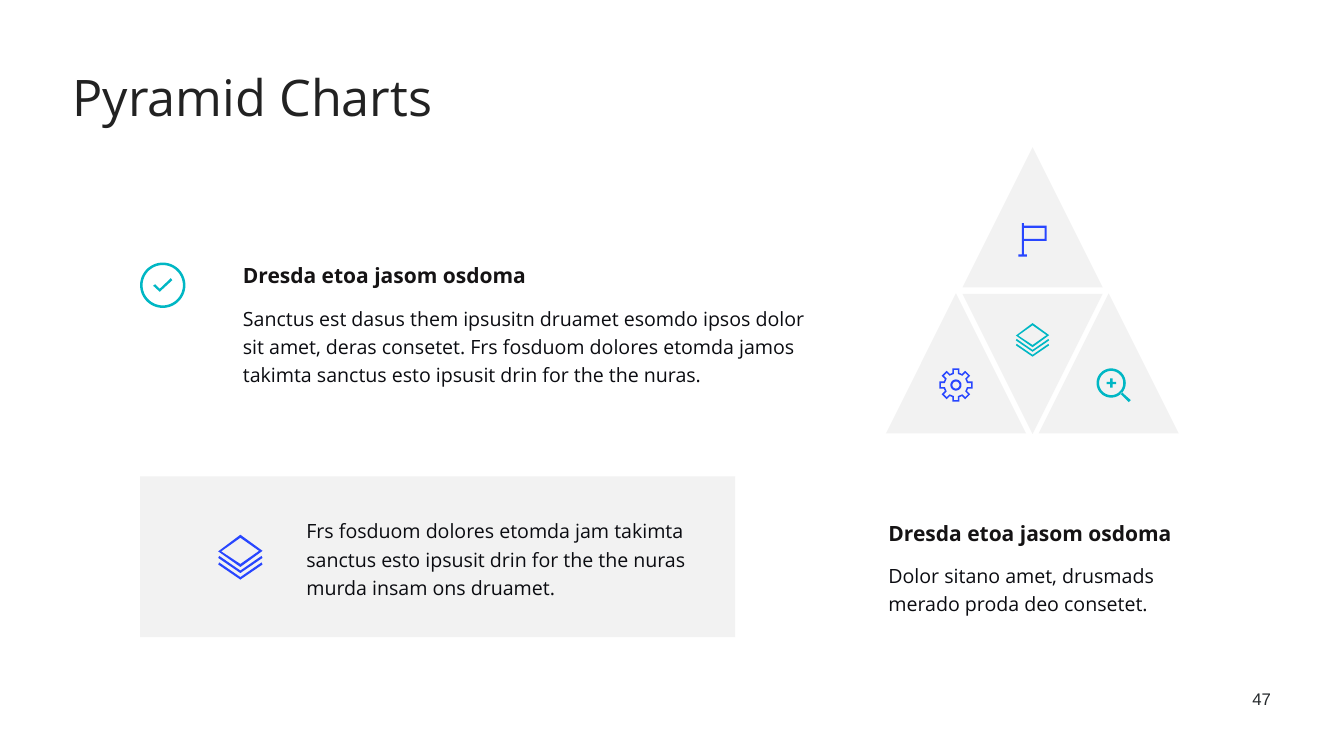
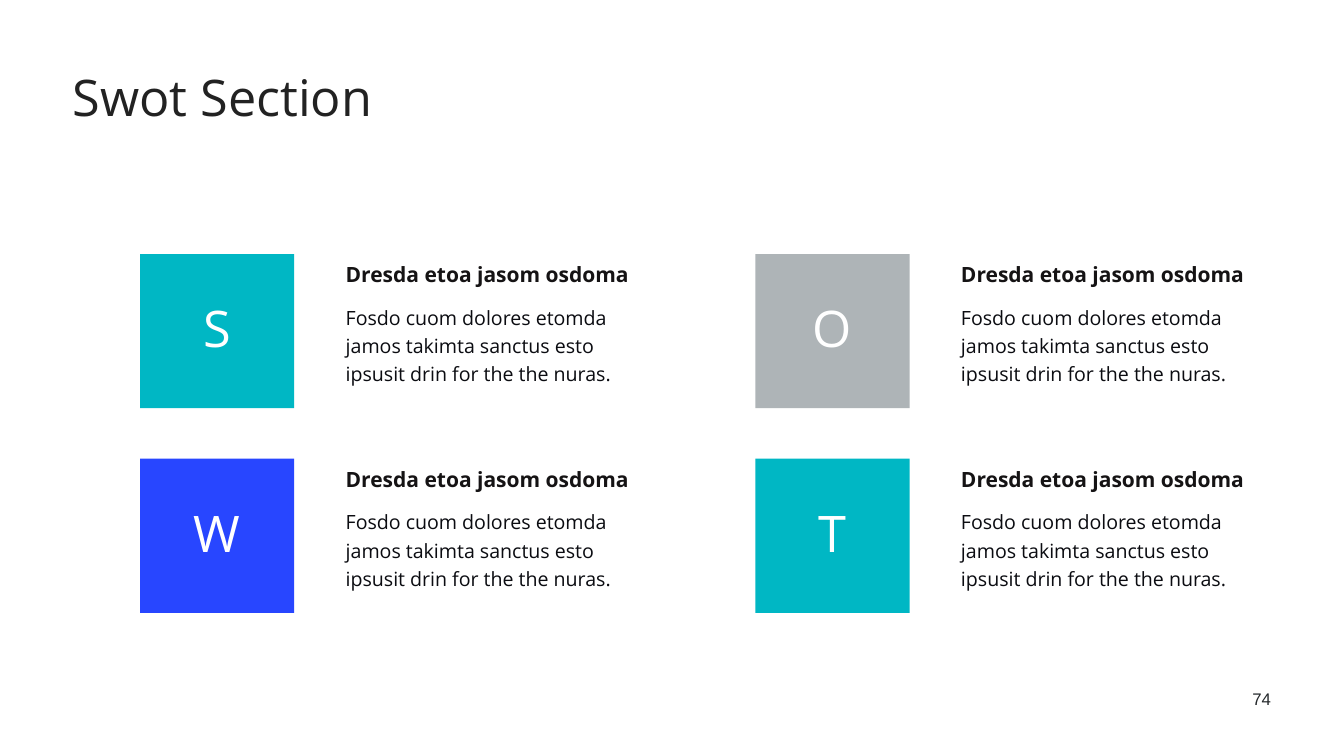
from math import cos, pi, sin

from pptx import Presentation
from pptx.dml.color import RGBColor
from pptx.enum.shapes import MSO_SHAPE as Shape
from pptx.enum.text import MSO_ANCHOR as Anchor, MSO_AUTO_SIZE as AutoSize, PP_ALIGN as Align
from pptx.util import Inches, Pt

TEAL = RGBColor(0x00, 0xB7, 0xC4)
BLUE = RGBColor(0x28, 0x46, 0xFF)
GREY = RGBColor(0xAE, 0xB4, 0xB7)
PALE = RGBColor(0xF2, 0xF2, 0xF2)
WHITE = RGBColor(0xFF, 0xFF, 0xFF)
TITLE_INK = RGBColor(0x22, 0x22, 0x22)
HEADING_INK = RGBColor(0x15, 0x13, 0x14)
BODY_INK = RGBColor(0x0B, 0x0C, 0x11)
NUMBER_INK = RGBColor(0x24, 0x28, 0x2B)

# Text styles: size, colour, bold, line spacing, font, alignment, inset
TITLE = (72, TITLE_INK, False, 0.9, "Open Sans", Align.LEFT, 0.05)
LETTER = (72, WHITE, False, 0.9, "Open Sans", Align.CENTER, 0.05)
HEADING = (30, HEADING_INK, True, 1.2, "Open Sans", Align.LEFT, 0.05)
BODY = (28, BODY_INK, False, 1.2, "Open Sans", Align.LEFT, 0.05)
NUMBER = (24, NUMBER_INK, False, 1.0, "Arial", Align.RIGHT, 0.06)

HEADING_TEXT = "Dresda etoa jasom osdoma"
UNIT_CIRCLE = [(cos(step * pi / 30), sin(step * pi / 30)) for step in range(60)]


def add_text(slide, left, top, width, height, text, style):
    size, color, bold, spacing, font_name, alignment, inset = style
    box = slide.shapes.add_textbox(Inches(left), Inches(top), Inches(width), Inches(height))
    frame = box.text_frame
    frame.word_wrap = True
    frame.auto_size = AutoSize.SHAPE_TO_FIT_TEXT
    frame.margin_left = frame.margin_right = Inches(inset)
    frame.margin_top = frame.margin_bottom = Inches(inset)
    paragraph = frame.paragraphs[0]
    paragraph.text = text
    paragraph.alignment = alignment
    paragraph.line_spacing = spacing
    font = paragraph.font
    font.name, font.size, font.bold = font_name, Pt(size), bold
    font.color.rgb = color
    return box


def add_icon(slide, left, top, color, contours, circles=(), scale=1):
    """Draw one filled outline; a contour inside another becomes a hole."""
    rings = [[(x + radius * dx, y + radius * dy) for dx, dy in UNIT_CIRCLE]
             for x, y, radius in circles]
    builder = None
    for contour in rings + contours:
        points = [(Inches(x * scale), Inches(y * scale)) for x, y in contour]
        if builder is None:
            builder = slide.shapes.build_freeform(*points[0])
        else:
            builder.move_to(*points[0])
        builder.add_line_segments(points[1:], close=True)
    icon = builder.convert_to_shape(Inches(left), Inches(top))
    icon.shadow.inherit = False
    icon.fill.solid()
    icon.fill.fore_color.rgb = color
    icon.line.fill.background()


presentation = Presentation()
presentation.slide_width = Inches(26.67)
presentation.slide_height = Inches(15)

slides = []
for title, number in (("Pyramid Charts", "47"), ("Swot Section", "74")):
    slide = presentation.slides.add_slide(presentation.slide_layouts[6])
    add_text(slide, 1.39, 1.39, 8.8, 1.46, title, TITLE)
    add_text(slide, 23.89, 13.61, 1.39, 0.51, number, NUMBER)
    slides.append(slide)
pyramid_slide, swot_slide = slides

# Pyramid and panel
blocks = [
    (Shape.ISOSCELES_TRIANGLE, 19.1, 2.92, 2.78, 2.78, 0),
    (Shape.ISOSCELES_TRIANGLE, 19.1, 5.83, 2.78, 2.78, 180),
    (Shape.ISOSCELES_TRIANGLE, 20.61, 5.82, 2.78, 2.78, 0),
    (Shape.ISOSCELES_TRIANGLE, 17.58, 5.82, 2.78, 2.78, 0),
    (Shape.RECTANGLE, 2.78, 9.45, 11.81, 3.19, 0),
]
for kind, left, top, width, height, rotation in blocks:
    block = pyramid_slide.shapes.add_shape(
        kind, Inches(left), Inches(top), Inches(width), Inches(height))
    block.shadow.inherit = False
    block.rotation = rotation
    block.fill.solid()
    block.fill.fore_color.rgb = PALE
    block.line.fill.background()

# Icons, in inches from their own top left corner
layers = [
    [(0.44, 0), (0.88, 0.32), (0.44, 0.64), (0, 0.33)],
    [(0.44, 0.06), (0.81, 0.32), (0.44, 0.58), (0.06, 0.33)],
]
for drop in (0, 0.13):
    layers.append([(x, y + drop) for x, y in (
        (0.02, 0.42), (0.44, 0.71), (0.86, 0.42), (0.88, 0.46), (0.44, 0.76), (0, 0.46))])
add_icon(pyramid_slide, 4.33, 10.61, BLUE, layers)
add_icon(pyramid_slide, 20.16, 6.41, TEAL, layers, scale=0.75)

gear = []
for root, tip, half_width in ((0.24, 0.33, 0.07), (0.22, 0.3, 0.04)):
    outline = []
    for tooth in range(8):
        angle = tooth * pi / 4
        for reach, side in ((root, -half_width), (tip, -half_width),
                            (tip, half_width), (root, half_width)):
            outline.append((0.33 + reach * cos(angle) - side * sin(angle),
                            0.33 + reach * sin(angle) + side * cos(angle)))
    gear.append(outline)
add_icon(pyramid_slide, 18.64, 7.31, BLUE, gear, [(0.33, 0.33, 0.11), (0.33, 0.33, 0.07)])

flag = [
    [(0.07, 0), (0.11, 0), (0.11, 0.05), (0.56, 0.05), (0.56, 0.35), (0.11, 0.35),
     (0.11, 0.62), (0.17, 0.62), (0.17, 0.66), (0, 0.66), (0, 0.62), (0.07, 0.62)],
    [(0.11, 0.09), (0.52, 0.09), (0.52, 0.31), (0.11, 0.31)],
]
add_icon(pyramid_slide, 20.21, 4.43, BLUE, flag)

magnifier = [
    [(0.46, 0.5), (0.63, 0.67), (0.67, 0.63), (0.49, 0.47)],
    [(0.26, 0.2), (0.31, 0.2), (0.31, 0.27), (0.38, 0.27), (0.38, 0.31), (0.31, 0.31),
     (0.31, 0.38), (0.26, 0.38), (0.26, 0.31), (0.19, 0.31), (0.19, 0.27), (0.26, 0.27)],
]
add_icon(pyramid_slide, 21.77, 7.31, TEAL, magnifier, [(0.28, 0.29, 0.29), (0.28, 0.29, 0.24)])

check = [[(0.61, 0.31), (0.39, 0.52), (0.3, 0.43), (0.26, 0.46), (0.39, 0.58), (0.64, 0.35)]]
add_icon(pyramid_slide, 2.78, 5.21, TEAL, check, [(0.45, 0.45, 0.45), (0.45, 0.45, 0.4)])

# Pyramid texts
add_text(pyramid_slide, 4.77, 5.06, 5.86, 0.67, HEADING_TEXT, HEADING)
add_text(pyramid_slide, 4.77, 5.94, 11.72, 1.89,
         "Sanctus est dasus them ipsusitn druamet esomdo ipsos dolor sit amet, deras consetet. "
         "Frs fosduom dolores etomda jamos takimta sanctus esto ipsusit drin for the the nuras.",
         BODY)
add_text(pyramid_slide, 6.03, 10.16, 7.71, 1.89,
         "Frs fosduom dolores etomda jam takimta sanctus esto ipsusit drin for the the nuras "
         "murda insam ons druamet.", BODY)
add_text(pyramid_slide, 17.58, 10.17, 5.86, 0.67, HEADING_TEXT, HEADING)
add_text(pyramid_slide, 17.58, 11.05, 5.86, 1.26,
         "Dolor sitano amet, drusmads merado proda deo consetet.", BODY)

# SWOT grid, filled column by column
swot_items = [("S", TEAL), ("W", BLUE), ("O", GREY), ("T", TEAL)]
for index, (letter, color) in enumerate(swot_items):
    column, row = divmod(index, 2)
    left = 2.78 + column * 12.21
    top = 5.04 + row * 4.06
    tile = swot_slide.shapes.add_shape(
        Shape.RECTANGLE, Inches(left), Inches(top), Inches(3.06), Inches(3.06))
    tile.shadow.inherit = False
    tile.fill.solid()
    tile.fill.fore_color.rgb = color
    tile.line.fill.background()
    letter_box = add_text(swot_slide, left, top + 0.8, 3.06, 1.46, letter, LETTER)
    letter_box.text_frame.vertical_anchor = Anchor.MIDDLE
    letter_run = letter_box.text_frame.paragraphs[0].runs[0]
    letter_run._r.get_or_add_rPr().set("spc", "720")
    add_text(swot_slide, left + 4.03, top, 5.86, 0.67, HEADING_TEXT, HEADING)
    add_text(swot_slide, left + 4.03, top + 0.88, 5.56, 1.89,
             "Fosdo cuom dolores etomda jamos takimta sanctus esto ipsusit drin for the the nuras.",
             BODY)

presentation.save("out.pptx")
